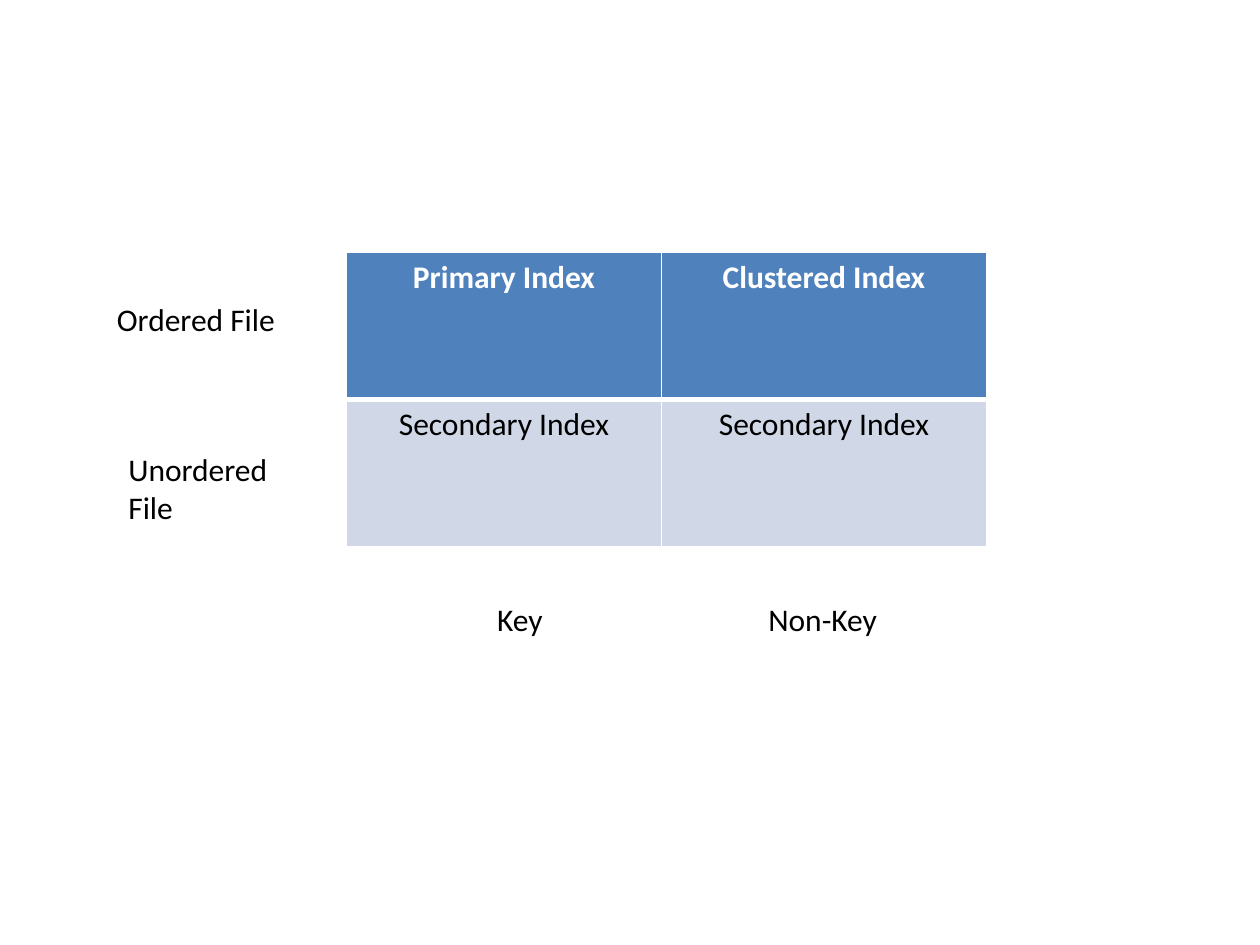
from dataclasses import dataclass

from lxml import etree
from pptx import Presentation, util as u
from pptx.dml.color import RGBColor
from pptx.enum import text
from pptx.oxml.ns import qn


@dataclass(frozen=True)
class Theme:
    font: str = "Calibri"
    size: int = 18
    ink: str = "000000"
    white: str = "FFFFFF"
    header: str = "4F81BD"
    body: str = "D0D8E8"
    thin: float = 1
    thick: float = 3


@dataclass(frozen=True)
class Label:
    words: str
    left: float
    top: float
    width: float
    height: float = 0.4
    align: text.PP_ALIGN = text.PP_ALIGN.LEFT


@dataclass(frozen=True)
class IndexRow:
    names: tuple[str, ...]
    fill: str
    color: str
    bold: bool
    top_border: float
    bottom_border: float


THEME = Theme()
COL_WIDTHS = (2.5, 2.58)
ROW_HEIGHT = 1.17
ROWS = (
    IndexRow(("Primary Index", "Clustered Index"), THEME.header, THEME.white, True,
             THEME.thin, THEME.thick),
    IndexRow(("Secondary Index", "Secondary Index"), THEME.body, THEME.ink, False,
             THEME.thick, THEME.thin),
)
LABELS = (
    Label("Ordered File", 0.83, 2.33, 1.5),
    Label("Unordered File", 0.92, 3.52, 1.58, 0.71),
    Label("Key", 3.25, 4.71, 1.75, align=text.PP_ALIGN.CENTER),
    Label("Non-Key", 6, 4.71, 1.17),
)


def write(tf, words: str, color: str, align: text.PP_ALIGN, bold: bool = False) -> None:
    p = tf.paragraphs[0]
    p.alignment = align
    r = p.add_run()
    r.text = words
    r.font.name = THEME.font
    r.font.size = u.Pt(THEME.size)
    r.font.bold = bold
    r.font.color.rgb = RGBColor.from_string(color)


def set_borders(cell, top: float, bottom: float) -> None:
    sides = {"a:lnL": THEME.thin, "a:lnR": THEME.thin, "a:lnT": top, "a:lnB": bottom}
    tc_pr = cell._tc.get_or_add_tcPr()
    for i, (tag, width) in enumerate(sides.items()):
        ln = etree.Element(qn(tag), w=str(u.Pt(width)))
        fill = etree.SubElement(ln, qn("a:solidFill"))
        etree.SubElement(fill, qn("a:srgbClr"), val=THEME.white)
        tc_pr.insert(i, ln)


def add_index_table(s, left: float, top: float) -> None:
    table = s.shapes.add_table(
        len(ROWS), len(COL_WIDTHS), u.Inches(left), u.Inches(top),
        u.Inches(sum(COL_WIDTHS)), u.Inches(ROW_HEIGHT * len(ROWS))).table
    for col, width in zip(table.columns, COL_WIDTHS):
        col.width = u.Inches(width)
    for table_row, row in zip(table.rows, ROWS):
        table_row.height = u.Inches(ROW_HEIGHT)
        for cell, name in zip(table_row.cells, row.names):
            cell.fill.solid()
            cell.fill.fore_color.rgb = RGBColor.from_string(row.fill)
            set_borders(cell, row.top_border, row.bottom_border)
            write(cell.text_frame, name, row.color, text.PP_ALIGN.CENTER, row.bold)


def add_label(s, label: Label) -> None:
    sp = s.shapes.add_textbox(u.Inches(label.left), u.Inches(label.top),
                              u.Inches(label.width), u.Inches(label.height))
    tf = sp.text_frame
    tf.word_wrap = True
    tf.auto_size = text.MSO_AUTO_SIZE.SHAPE_TO_FIT_TEXT
    write(tf, label.words, THEME.ink, label.align)


def main() -> None:
    prs = Presentation()
    prs.slide_width, prs.slide_height = u.Inches(10), u.Inches(7.5)
    s = prs.slides.add_slide(prs.slide_layouts[6])

    # Index types by file order and key
    add_index_table(s, 2.75, 2)

    # Row and column labels
    for label in LABELS:
        add_label(s, label)

    prs.save("out.pptx")


if __name__ == "__main__":
    main()
